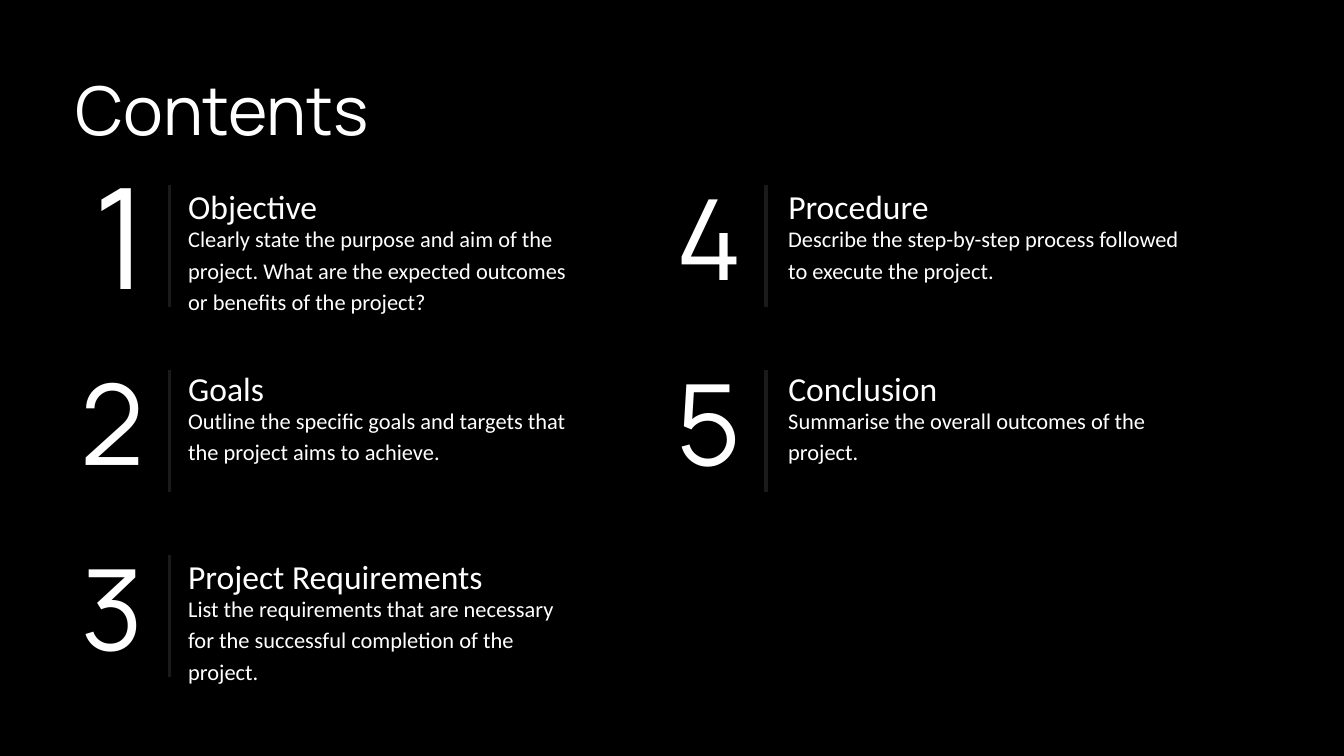
from lxml import etree
from pptx import Presentation
from pptx.dml.color import RGBColor
from pptx.enum.shapes import MSO_CONNECTOR
from pptx.enum.text import MSO_ANCHOR, MSO_AUTO_SIZE, PP_ALIGN
from pptx.oxml.ns import qn
from pptx.util import Inches, Pt

STRAIGHT = MSO_CONNECTOR.STRAIGHT
TOP = MSO_ANCHOR.TOP
GROW = MSO_AUTO_SIZE.SHAPE_TO_FIT_TEXT
LEFT, CENTER = PP_ALIGN.LEFT, PP_ALIGN.CENTER

COLORS = {"background": "000000", "text": "FFFFFF", "divider": "1A1A1A"}
DISPLAY_FONT, TEXT_FONT = "Manrope", "Calibri"
LINE_FACTORS = {DISPLAY_FONT: 1.1, TEXT_FONT: 1.4}

TITLE_ONLY_LAYOUT = 5
ROW_PITCH = 2.75
DIVIDER_TOP, DIVIDER_HEIGHT = 2.76, 1.81
HEADING_TOPS = [2.67, 5.37, 8.17]
DESCRIPTION_OFFSET = 0.62

# Left edges of the number, divider and text in each column
COLUMNS = [(1.12, 2.52, 2.8), (10, 11.4, 11.73)]

# Heading, heading width, description, description height
COLUMN_ENTRIES = [
    [
        ("Objective", 2.09,
         "Clearly state the purpose and aim of the project. "
         "What are the expected outcomes or benefits of the project?", 1.36),
        ("Goals", 1.22,
         "Outline the specific goals and targets that the project aims to achieve.", 0.9),
        ("Project Requirements", 4.77,
         "List the requirements that are necessary for "
         "the successful completion of the project.", 1.36),
    ],
    [
        ("Procedure", 2.28,
         "Describe the step-by-step process followed to execute the project.", 0.9),
        ("Conclusion", 2.42,
         "Summarise the overall outcomes of the project.", 0.9),
    ],
]


def color(name):
    return RGBColor.from_string(COLORS[name])


def write_text(shape, text, size, font_name, alignment=LEFT):
    frame = shape.text_frame
    frame.margin_left = frame.margin_right = 0
    frame.margin_top = frame.margin_bottom = 0
    frame.word_wrap = True
    frame.auto_size = GROW
    frame.vertical_anchor = TOP
    paragraph = frame.paragraphs[0]
    paragraph.alignment = alignment
    paragraph.line_spacing = Pt(size * LINE_FACTORS[font_name])
    run = paragraph.add_run()
    run.text = text
    run.font.size = Pt(size)
    run.font.name = font_name
    run.font.color.rgb = color("text")


def add_text(slide, left, top, width, height, *text_style):
    box = slide.shapes.add_textbox(
        Inches(left), Inches(top), Inches(width), Inches(height))
    write_text(box, *text_style)


def add_title(slide, text):
    title = slide.shapes.title
    title.left, title.top = Inches(1.12), Inches(1.12)
    title.width, title.height = Inches(4.79), Inches(1.19)
    write_text(title, text, 72, DISPLAY_FONT)


def add_number(slide, number, left, row):
    # The opening number is larger than the rest
    if number == 1:
        add_text(slide, 1.39, 2.43, 1.11, 2.51, "1", 150, DISPLAY_FONT)
    else:
        add_text(slide, left, 2.68 + row * ROW_PITCH, 1.11, 2.01,
                 str(number), 120, DISPLAY_FONT, CENTER)


def add_divider(slide, left, row):
    top = DIVIDER_TOP + row * ROW_PITCH
    divider = slide.shapes.add_connector(
        STRAIGHT, Inches(left), Inches(top), Inches(left), Inches(top + DIVIDER_HEIGHT))
    divider.line.color.rgb = color("divider")
    divider.line.width = Pt(3.75)
    etree.SubElement(divider._element.spPr, qn("a:effectLst"))


def add_entry(slide, number, column, row, entry):
    number_left, divider_left, text_left = column
    heading, heading_width, description, description_height = entry
    top = HEADING_TOPS[row]
    add_number(slide, number, number_left, row)
    add_divider(slide, divider_left, row)
    add_text(slide, text_left, top, heading_width, 0.67, heading, 36, TEXT_FONT)
    add_text(slide, text_left, top + DESCRIPTION_OFFSET, 5.9, description_height,
             description, 24, TEXT_FONT)


def main():
    presentation = Presentation()
    presentation.slide_width = Inches(20)
    presentation.slide_height = Inches(11.25)
    slide = presentation.slides.add_slide(presentation.slide_layouts[TITLE_ONLY_LAYOUT])

    # Background and title
    slide.background.fill.solid()
    slide.background.fill.fore_color.rgb = color("background")
    add_title(slide, "Contents")

    # Numbered entries, running down each column
    number = 1
    for column, entries in zip(COLUMNS, COLUMN_ENTRIES):
        for row, entry in enumerate(entries):
            add_entry(slide, number, column, row, entry)
            number += 1

    presentation.save("out.pptx")


if __name__ == "__main__":
    main()
